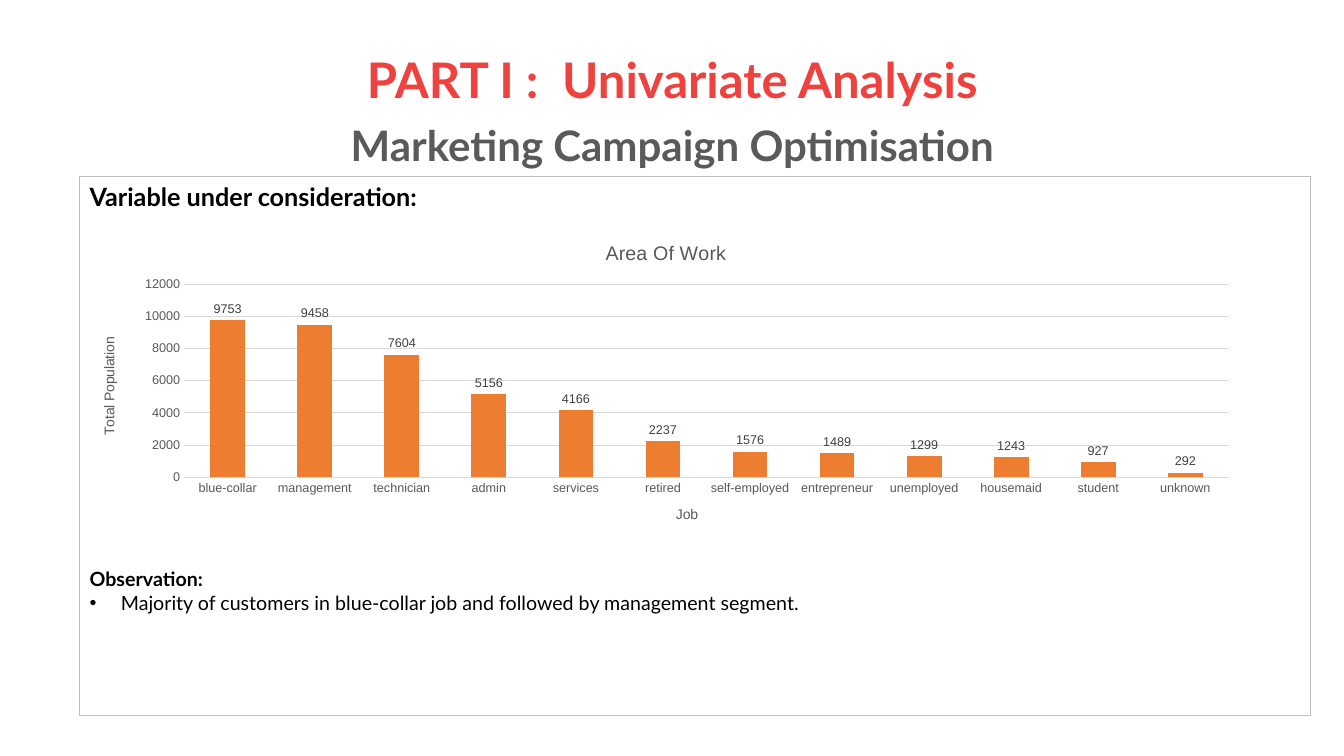
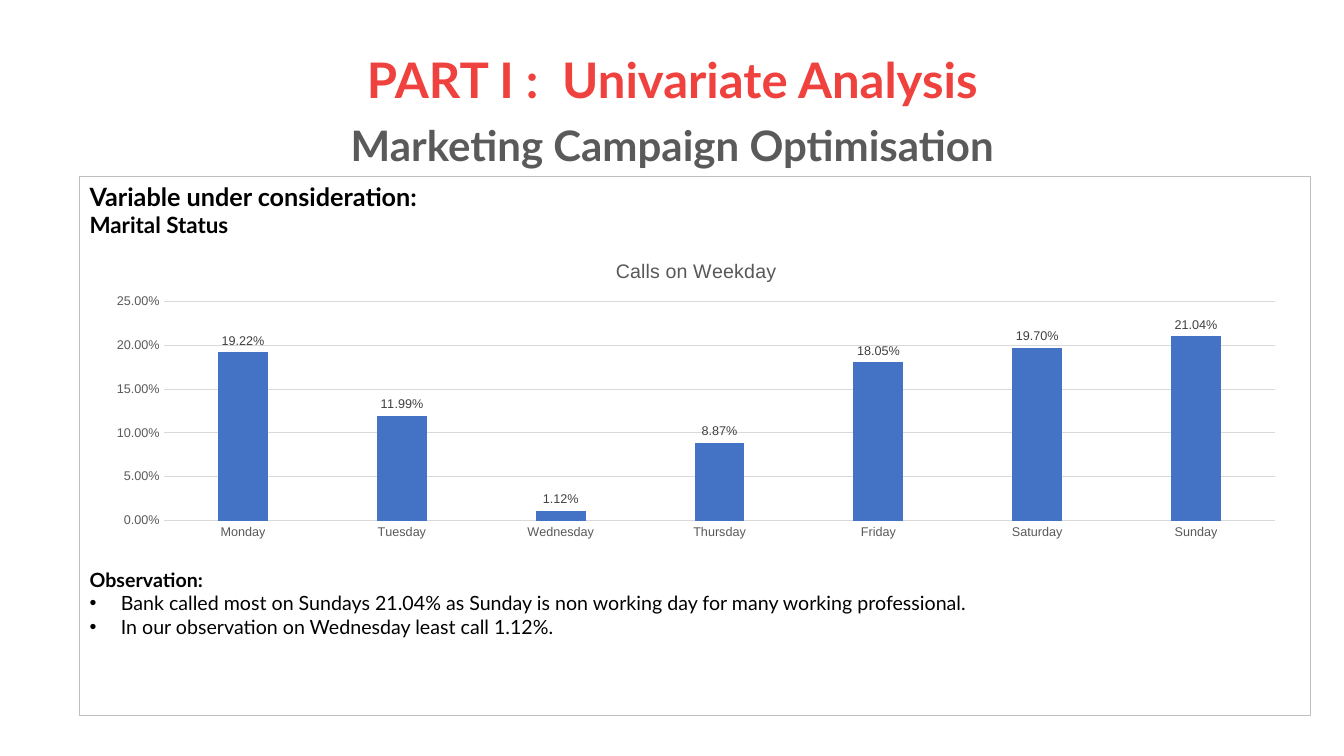
from lxml import etree
from pptx import Presentation
from pptx.chart.data import CategoryChartData
from pptx.dml.color import RGBColor
from pptx.enum import chart as charts, shapes, text
from pptx.oxml.ns import qn
from pptx.util import Pt

PX = 9144  # 100 px to the inch
RED = RGBColor(0xEF, 0x41, 0x3D)
GRAY = RGBColor(0x5A, 0x5A, 0x5A)
BLACK = RGBColor(0, 0, 0)
PANEL_LINE = RGBColor(0xBF, 0xBF, 0xBF)
GRID = RGBColor(0xD9, 0xD9, 0xD9)
AXIS_TEXT = RGBColor(0x59, 0x59, 0x59)
LABEL_TEXT = RGBColor(0x40, 0x40, 0x40)
ORANGE = RGBColor(0xED, 0x7D, 0x31)
BLUE = RGBColor(0x44, 0x72, 0xC4)

TITLE_LINES = [("PART I :  Univariate Analysis", 35, RED, 0),
               ("Marketing Campaign Optimisation", 30, GRAY, 11)]

SLIDES = [
    dict(variable=None, gap_before_observation=254,
         observations=["Majority of customers in blue-collar job and followed by management segment."],
         title="Area Of Work", axis_titles=("Job", "Total Population"),
         box=(79, 223, 1163, 316), color=ORANGE, gap=150, overlap=0,
         format="General", axis_line=False,
         values={"blue-collar": 9753, "management": 9458, "technician": 7604,
                 "admin": 5156, "services": 4166, "retired": 2237,
                 "self-employed": 1576, "entrepreneur": 1489, "unemployed": 1299,
                 "housemaid": 1243, "student": 927, "unknown": 292}),
    dict(variable="Marital Status", gap_before_observation=235,
         observations=["Bank called most on Sundays 21.04% as Sunday is non working day "
                       "for many working professional.",
                       "In our observation on Wednesday least call 1.12%."],
         title="Calls on Weekday", axis_titles=None,
         box=(92, 241, 1197, 300), color=BLUE, gap=219, overlap=-27,
         format="0.00%", axis_line=True,
         values={"Monday": 0.1922, "Tuesday": 0.1199, "Wednesday": 0.0112,
                 "Thursday": 0.0887, "Friday": 0.1805, "Saturday": 0.197,
                 "Sunday": 0.2104}),
]


def style(font, size, color, bold=False, name="Lato"):
    font.size, font.bold, font.name = Pt(size), bold, name
    font.color.rgb = color


def add_line(frame, words, size, color, bold=True, before=0):
    """Fill the frame's empty first paragraph, or append one."""
    first = frame.paragraphs[0]
    paragraph = frame.add_paragraph() if first.runs else first
    paragraph.text = words
    paragraph.space_before = Pt(before)
    style(paragraph.runs[0].font, size, color, bold)
    return paragraph


deck = Presentation()
deck.slide_width, deck.slide_height = 1333 * PX, 750 * PX

for content in SLIDES:
    slide = deck.slides.add_slide(deck.slide_layouts[6])

    heading = slide.shapes.add_textbox(92 * PX, 40 * PX, 1150 * PX, 145 * PX).text_frame
    heading.word_wrap = True
    heading.vertical_anchor = text.MSO_ANCHOR.MIDDLE
    for words, size, color, before in TITLE_LINES:
        line = add_line(heading, words, size, color, before=before)
        line.alignment = text.PP_ALIGN.CENTER
        line.line_spacing = 0.9

    panel = slide.shapes.add_shape(shapes.MSO_SHAPE.RECTANGLE,
                                   79 * PX, 175 * PX, 1221 * PX, 535 * PX)
    panel.shadow.inherit = False
    panel.fill.background()
    panel.line.color.rgb = PANEL_LINE
    panel.line.width = Pt(0.75)
    notes = panel.text_frame
    notes.word_wrap = True
    notes.vertical_anchor = text.MSO_ANCHOR.TOP
    add_line(notes, "Variable under consideration:", 18, BLACK)
    if content["variable"]:
        add_line(notes, content["variable"], 16, BLACK)
    add_line(notes, "Observation:", 14, BLACK, before=content["gap_before_observation"])
    for observation in content["observations"]:
        properties = add_line(notes, observation, 14, BLACK, bold=False)._p.get_or_add_pPr()
        properties.set("marL", str(31 * PX))
        properties.set("indent", str(-31 * PX))
        etree.SubElement(properties, qn("a:buFont")).set("typeface", "Arial")
        etree.SubElement(properties, qn("a:buChar")).set("char", "•")
    for line in notes.paragraphs:
        line.alignment = text.PP_ALIGN.LEFT

    data = CategoryChartData(number_format=content["format"])
    data.categories = list(content["values"])
    data.add_series("Series 1", list(content["values"].values()))
    chart = slide.shapes.add_chart(charts.XL_CHART_TYPE.COLUMN_CLUSTERED,
                                   *(length * PX for length in content["box"]), data).chart
    style(chart.font, 10, BLACK, name="Arial")
    chart.has_legend = False
    chart.has_title = True
    chart.chart_title.include_in_layout = False
    chart.chart_title.text_frame.text = content["title"]
    style(chart.chart_title.text_frame.paragraphs[0].runs[0].font, 14, AXIS_TEXT, name="Arial")

    categories, amounts = chart.category_axis, chart.value_axis
    for axis in (categories, amounts):
        axis.major_tick_mark = axis.minor_tick_mark = charts.XL_TICK_MARK.NONE
        axis.format.line.fill.background()
        style(axis.tick_labels.font, 9, AXIS_TEXT, name="Arial")
    if content["axis_line"]:
        categories.format.line.color.rgb = GRID
        categories.format.line.width = Pt(0.75)
    amounts.major_gridlines.format.line.color.rgb = GRID
    amounts.major_gridlines.format.line.width = Pt(0.75)
    amounts.tick_labels.number_format = content["format"]
    amounts.tick_labels.number_format_is_linked = False
    if content["axis_titles"]:
        for axis, words in zip((categories, amounts), content["axis_titles"]):
            axis.axis_title.text_frame.text = words
            style(axis.axis_title.text_frame.paragraphs[0].runs[0].font, 10, AXIS_TEXT,
                  name="Arial")

    columns = chart.plots[0]
    columns.vary_by_categories = False
    columns.gap_width, columns.overlap = content["gap"], content["overlap"]
    columns.series[0].format.fill.solid()
    columns.series[0].format.fill.fore_color.rgb = content["color"]
    columns.has_data_labels = True
    labels = columns.data_labels
    labels.show_value = True
    labels.position = charts.XL_LABEL_POSITION.OUTSIDE_END
    labels.number_format = content["format"]
    labels.number_format_is_linked = False
    style(labels.font, 9, LABEL_TEXT, name="Arial")

deck.save("out.pptx")
